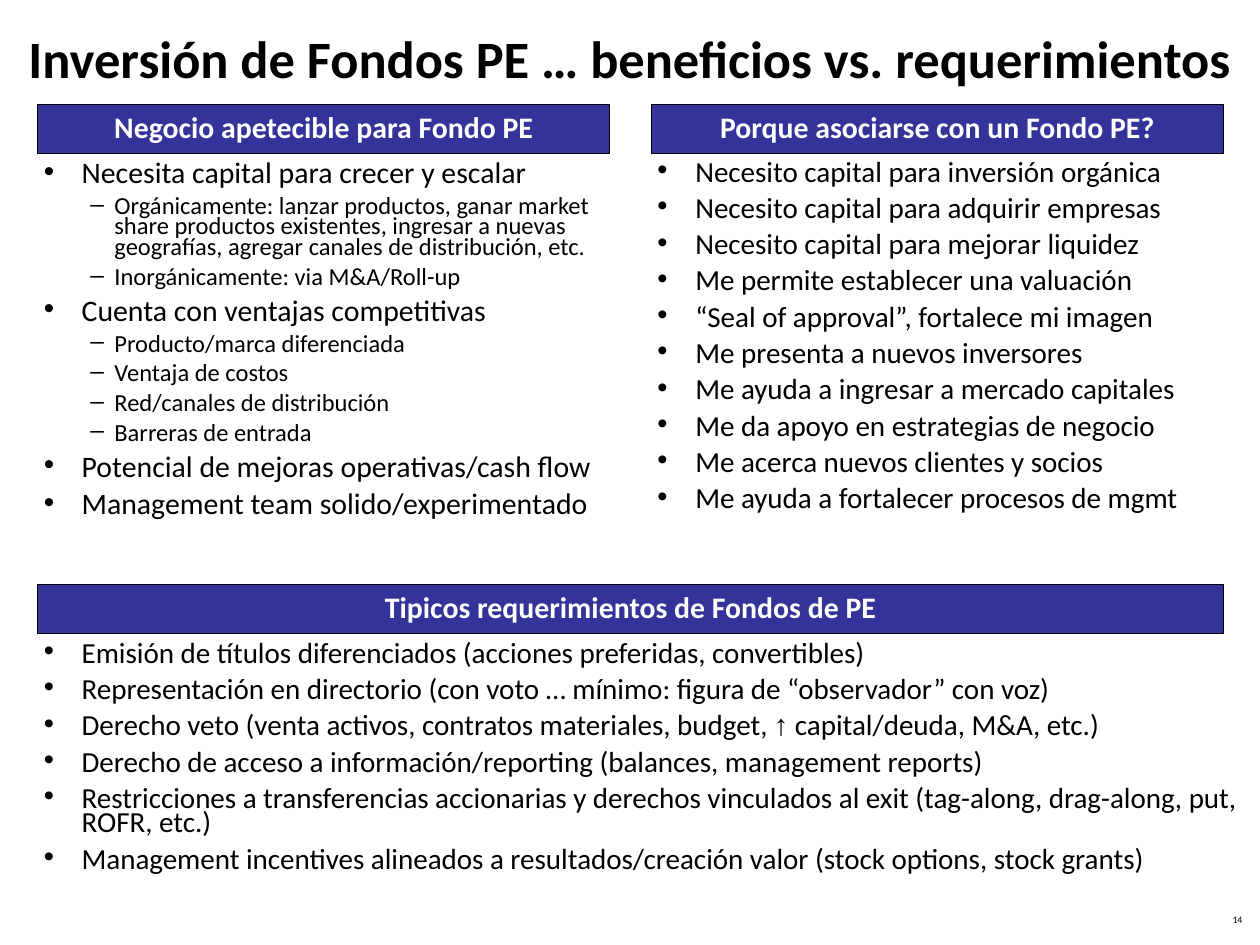
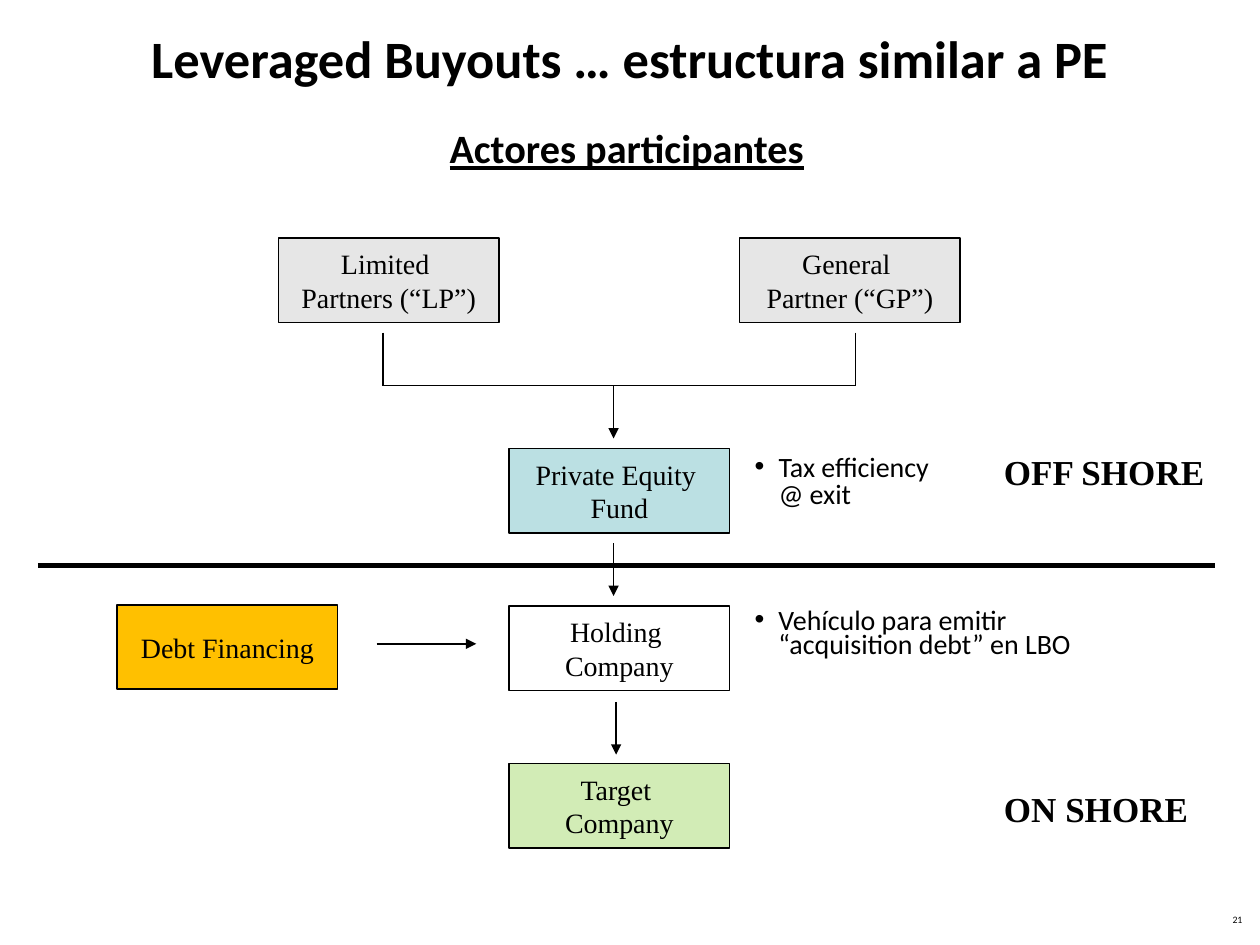
from pptx import Presentation
from pptx.util import Inches, Pt
from pptx.dml.color import RGBColor
from pptx.enum.shapes import MSO_SHAPE, MSO_CONNECTOR
from pptx.enum.text import PP_ALIGN, MSO_ANCHOR
from pptx.oxml.ns import qn
from lxml.etree import SubElement

HUE = {"ink": "000000", "white": "FFFFFF", "band": "333399", "grey": "E6E6E6",
       "teal": "BBE0E3", "green": "D2ECB6", "gold": "FFC000"}
SANS, SERIF = "Calibri", "Times New Roman"
LEFT, CENTER, RIGHT = PP_ALIGN.LEFT, PP_ALIGN.CENTER, PP_ALIGN.RIGHT
TOP, MIDDLE = MSO_ANCHOR.TOP, MSO_ANCHOR.MIDDLE


def write(slide, text, at, size=16, font=SANS, color="ink", bold=False,
          under=False, align=LEFT, anchor=TOP, wrap=True, space=1, gap=0,
          indent=0, fill=None, edge=1):
    """Text in a box or a filled rectangle; lines that start with "- " are sub-bullets."""
    place = [Inches(n) for n in at]
    if fill:
        shape = slide.shapes.add_shape(MSO_SHAPE.RECTANGLE, *place)
        shape.shadow.inherit = False
        shape.fill.solid()
        shape.fill.fore_color.rgb = RGBColor.from_string(HUE[fill])
        shape.line.color.rgb = RGBColor.from_string(HUE["ink"])
        shape.line.width = Pt(edge)
    else:
        shape = slide.shapes.add_textbox(*place)
    frame = shape.text_frame
    frame.word_wrap = wrap
    frame.vertical_anchor = anchor
    for i, line in enumerate(text.split("\n")):
        para = frame.paragraphs[0] if i == 0 else frame.add_paragraph()
        sub = line.startswith("- ")
        if indent:
            left, hang = (0.56, 0.19) if sub else (indent, indent)
            props = para._p.get_or_add_pPr()
            props.set("marL", str(Inches(left)))
            props.set("indent", str(-Inches(hang)))
            SubElement(props, qn("a:buFont"), typeface="Arial")
            SubElement(props, qn("a:buChar"), char="–" if sub else "•")
        para.level = int(sub)
        para.alignment = align
        para.line_spacing = space
        para.space_before = Pt(0 if i == 0 else 5.2 if sub else gap)
        # The arrow sign takes its own font
        for part in line.removeprefix("- ").replace("↑", "|↑|").split("|"):
            run = para.add_run()
            run.text = part
            run.font.name = "Arial" if part == "↑" else font
            run.font.size = Pt(14 if sub else size)
            run.font.bold = bold
            run.font.underline = under
            run.font.color.rgb = RGBColor.from_string(HUE[color])


def join(slide, x1, y1, x2, y2, width=1, arrow=False):
    line = slide.shapes.add_connector(
        MSO_CONNECTOR.STRAIGHT, Inches(x1), Inches(y1), Inches(x2), Inches(y2))
    line.line.color.rgb = RGBColor.from_string(HUE["ink"])
    line.line.width = Pt(width)
    if arrow:
        SubElement(line.line._get_or_add_ln(), qn("a:tailEnd"), type="triangle")
    SubElement(line._element.spPr, qn("a:effectLst"))


deck = Presentation()
deck.slide_width, deck.slide_height = Inches(10), Inches(7.5)

# Title and page number on both slides
pages = []
for title, num in [
    ("Inversión de Fondos PE … beneficios vs. requerimientos", "14"),
    ("Leveraged Buyouts … estructura similar a PE", "21"),
]:
    page = deck.slides.add_slide(deck.slide_layouts[6])
    write(page, num, (7.63, 7.22, 2.33, 0.21), size=5.6, align=RIGHT, space=0.8)
    write(page, title, (0, 0, 10, 0.91), size=30, bold=True, align=CENTER,
          anchor=MIDDLE)
    pages.append(page)
goals, buyout = pages

# Slide 1: bulleted lists
wants = """Necesita capital para crecer y escalar
- Orgánicamente: lanzar productos, ganar market share productos existentes, ingresar a nuevas geografías, agregar canales de distribución, etc.
- Inorgánicamente: via M&A/Roll-up
Cuenta con ventajas competitivas
- Producto/marca diferenciada
- Ventaja de costos
- Red/canales de distribución
- Barreras de entrada
Potencial de mejoras operativas/cash flow
Management team solido/experimentado"""
gains = """Necesito capital para inversión orgánica
Necesito capital para adquirir empresas
Necesito capital para mejorar liquidez
Me permite establecer una valuación
“Seal of approval”, fortalece mi imagen
Me presenta a nuevos inversores
Me ayuda a ingresar a mercado capitales
Me da apoyo en estrategias de negocio
Me acerca nuevos clientes y socios
Me ayuda a fortalecer procesos de mgmt"""
terms = """Emisión de títulos diferenciados (acciones preferidas, convertibles)
Representación en directorio (con voto … mínimo: figura de “observador” con voz)
Derecho veto (venta activos, contratos materiales, budget, ↑ capital/deuda, M&A, etc.)
Derecho de acceso a información/reporting (balances, management reports)
Restricciones a transferencias accionarias y derechos vinculados al exit (tag-along, drag-along, put, ROFR, etc.)
Management incentives alineados a resultados/creación valor (stock options, stock grants)"""
for text, at, size, gap in [
    (wants, (0.25, 1.25, 4.67, 3.18), 17, 7),
    (gains, (5.12, 1.24, 4.66, 3.18), 16.6, 6.8),
    (terms, (0.25, 5.06, 9.67, 2.25), 16.6, 6.8),
]:
    write(goals, text, at, size=size, gap=gap, space=0.7, indent=0.3)

# Slide 1: heading bands
for text, x, y, wide in [
    ("Negocio apetecible para Fondo PE", 0.3, 0.83, 4.54),
    ("Porque asociarse con un Fondo PE?", 5.17, 0.83, 4.54),
    ("Tipicos requerimientos de Fondos de PE", 0.3, 4.64, 9.41),
]:
    write(goals, text, (x, y, wide, 0.39), size=17, color="white", bold=True,
          align=CENTER, anchor=MIDDLE, space=0.9, fill="band", edge=0.75)

# Slide 2: heading and actors
write(buyout, "Actores participantes", (3.47, 0.93, 3.03, 0.49), size=23,
      bold=True, under=True, wrap=False)
for text, x, y, fill in [
    ("Limited \nPartners (“LP”)", 2.21, 1.89, "grey"),
    ("General \nPartner (“GP”)", 5.87, 1.89, "grey"),
    ("Private Equity \nFund", 4.04, 3.56, "teal"),
    ("Holding \nCompany", 4.04, 4.81, "white"),
    ("Target \nCompany", 4.04, 6.06, "green"),
    ("Debt Financing", 0.93, 4.8, "gold"),
]:
    write(buyout, text, (x, y, 1.75, 0.67), font=SERIF, align=CENTER,
          anchor=MIDDLE, wrap=False, fill=fill)

# Slide 2: bracket from the partners, then arrows
for x in (3.04, 6.79):
    join(buyout, x, 2.64, x, 3.06)
join(buyout, 3.04, 3.06, 6.79, 3.06)
for x, y in [(4.87, 3.06), (4.87, 4.31), (4.89, 5.57)]:
    join(buyout, x, y, x, y + 0.42, arrow=True)
join(buyout, 2.99, 5.11, 3.78, 5.11, arrow=True)

# Slide 2: shore line, labels and notes
join(buyout, 0.3, 4.49, 9.64, 4.49, width=3)
for text, y in [("OFF SHORE", 3.53), ("ON SHORE", 6.2)]:
    write(buyout, text, (7.87, y, 1.83, 0.44), size=20, font=SERIF, bold=True)
for text, y, wide, space in [
    ("Tax efficiency @ exit", 3.57, 1.78, 0.8),
    ("Vehículo para emitir “acquisition debt” en LBO", 4.81, 2.77, 0.7),
]:
    write(buyout, text, (5.89, y, wide, 0.56), space=space, indent=0.19)

deck.save("out.pptx")
